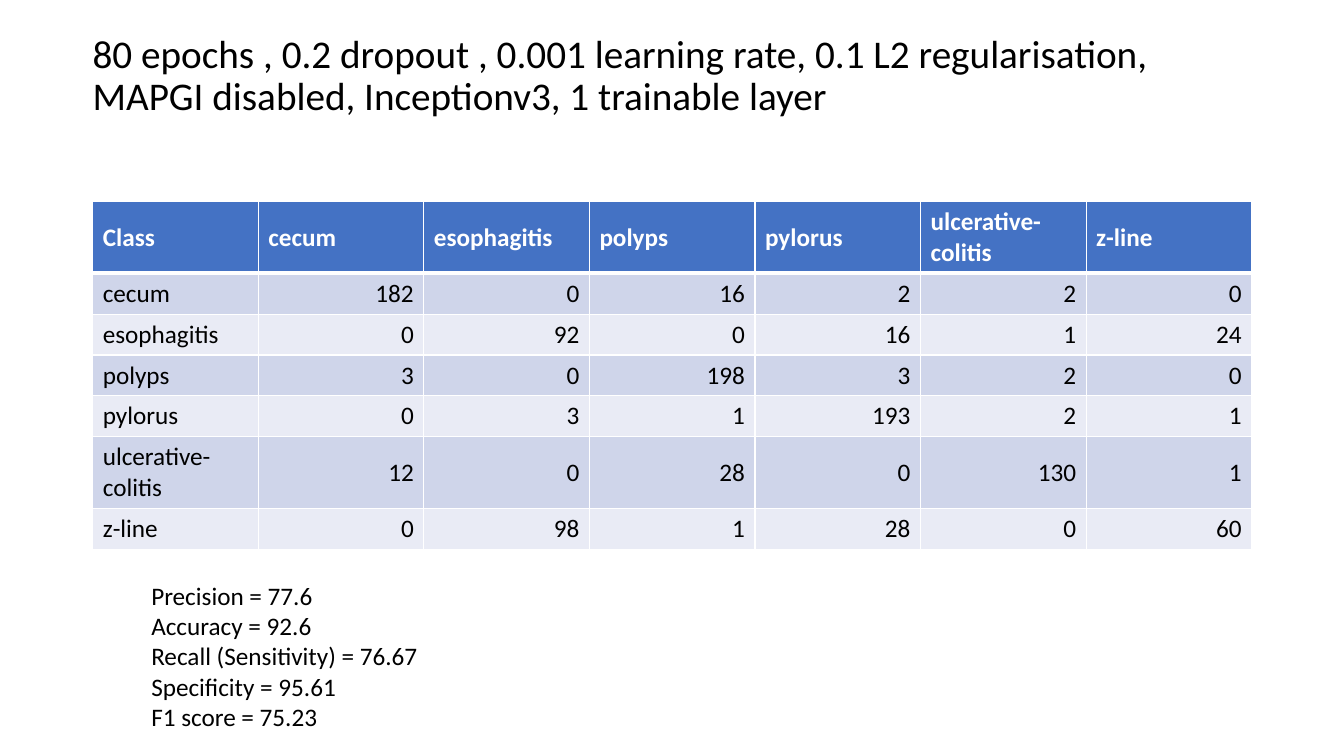
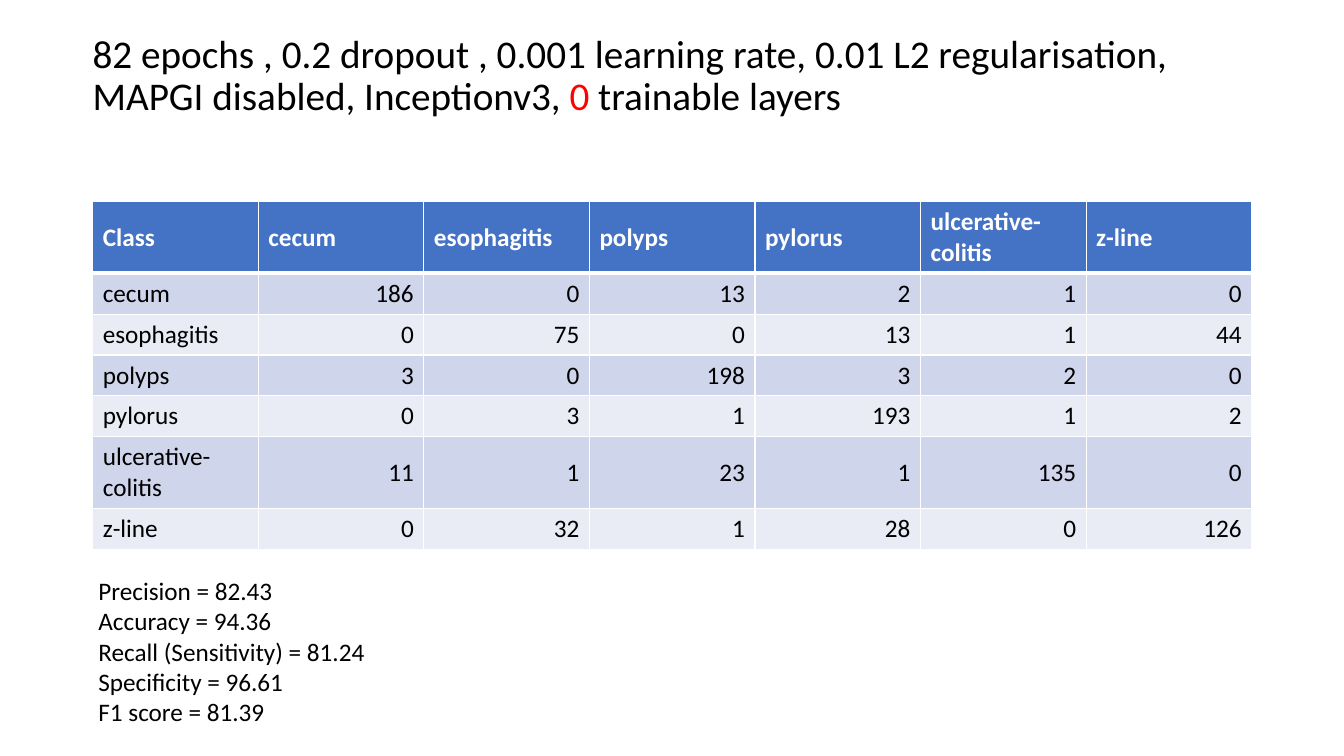
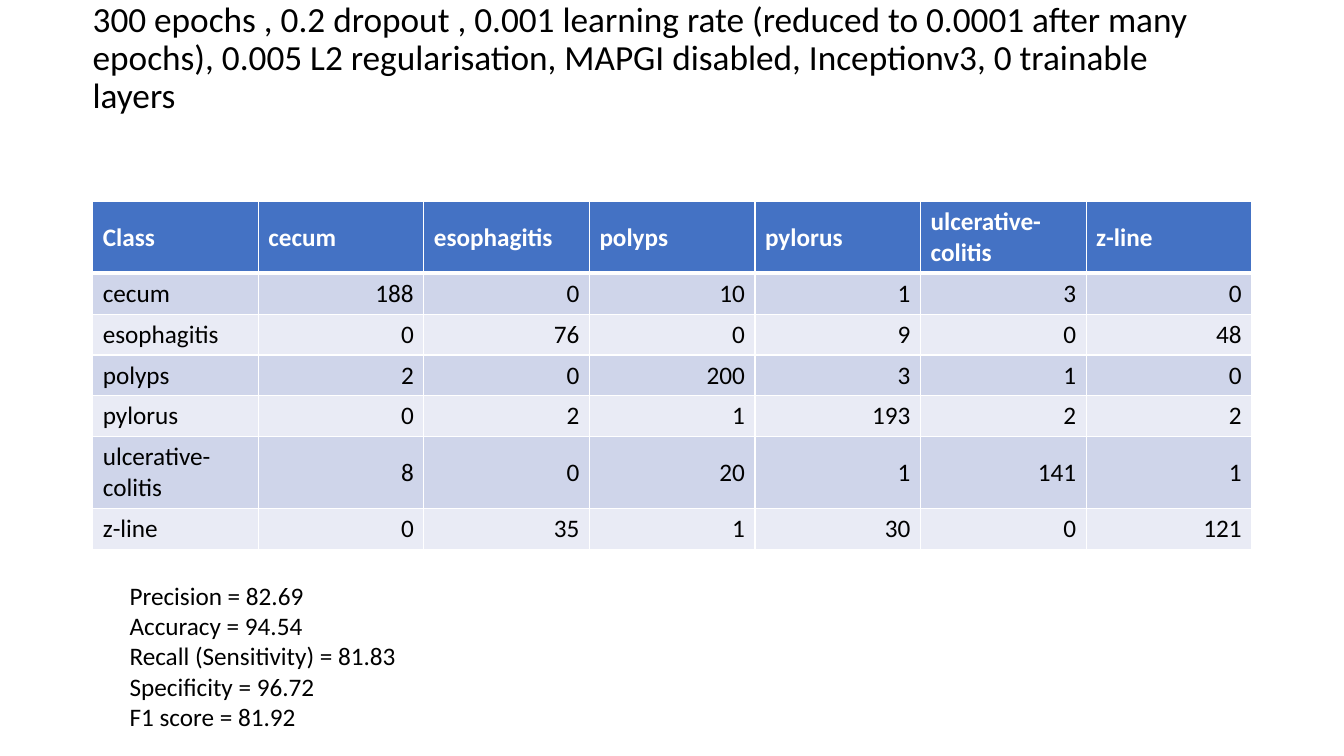
from pptx import Presentation
from pptx.dml.color import RGBColor
from pptx.enum.text import MSO_ANCHOR, MSO_AUTO_SIZE, PP_ALIGN
from pptx.oxml import parse_xml
from pptx.oxml.ns import nsdecls
from pptx.util import Pt

MIDDLE = MSO_ANCHOR.MIDDLE
LEFT, RIGHT = PP_ALIGN.LEFT, PP_ALIGN.RIGHT
NO_AUTOFIT = MSO_AUTO_SIZE.NONE

COLORS = {
    "text": "000000",
    "changed": "FF0000",
    "header": "4472C4",
    "odd row": "CFD5EA",
    "even row": "E9EBF5",
    "white": "FFFFFF",
}
BODY_FONT = {"name": "Calibri", "size": Pt(18), "bold": False}
HEADER_FONT = {**BODY_FONT, "bold": True}
TITLE_FRAME = {"vertical_anchor": MIDDLE, "word_wrap": True, "auto_size": NO_AUTOFIT}

CLASSES = ["cecum", "esophagitis", "polyps", "pylorus", "ulcerative-colitis", "z-line"]
METRICS = ["Precision", "Accuracy", "Recall (Sensitivity)", "Specificity", "F1 score"]
TABLE_LEFT, TABLE_TOP, TABLE_WIDTH = 66.25, 144, 828
ROW_HEIGHT, TALL_ROW_HEIGHT = 29, 50
TALL_ROWS = (0, 5)

EXPERIMENTS = [
    {
        "title": [("80 epochs , 0.2 dropout , 0.001 learning rate, 0.1 L2 regularisation, "
                   "MAPGI disabled, Inceptionv3, 1 trainable layer", "text")],
        "title size": 28, "title top": 17.25, "title bottom margin": 3.6,
        "confusion": [
            [182, 0, 16, 2, 2, 0],
            [0, 92, 0, 16, 1, 24],
            [3, 0, 198, 3, 2, 0],
            [0, 3, 1, 193, 2, 1],
            [12, 0, 28, 0, 130, 1],
            [0, 98, 1, 28, 0, 60],
        ],
        "scores": [77.6, 92.6, 76.67, 95.61, 75.23],
        "scores at": (101, 411),
    },
    {
        "title": [("82 epochs , 0.2 dropout , 0.001 learning rate, 0.01 L2 regularisation, "
                   "MAPGI disabled, Inceptionv3, ", "text"),
                  ("0", "changed"),
                  (" trainable layers", "text")],
        "title size": 28, "title top": 17.25, "title bottom margin": 3.6,
        "confusion": [
            [186, 0, 13, 2, 1, 0],
            [0, 75, 0, 13, 1, 44],
            [3, 0, 198, 3, 2, 0],
            [0, 3, 1, 193, 1, 2],
            [11, 1, 23, 1, 135, 0],
            [0, 32, 1, 28, 0, 126],
        ],
        "scores": [82.43, 94.36, 81.24, 96.61, 81.39],
        "scores at": (63.25, 407.5),
    },
    {
        "title": [("300 epochs , 0.2 dropout , 0.001 learning rate (reduced to 0.0001 after "
                   "many epochs), 0.005 L2 regularisation, MAPGI disabled, Inceptionv3, "
                   "0 trainable layers", "text")],
        "title size": 25.2, "title top": 18, "title bottom margin": 31,
        "confusion": [
            [188, 0, 10, 1, 3, 0],
            [0, 76, 0, 9, 0, 48],
            [2, 0, 200, 3, 1, 0],
            [0, 2, 1, 193, 2, 2],
            [8, 0, 20, 1, 141, 1],
            [0, 35, 1, 30, 0, 121],
        ],
        "scores": [82.69, 94.54, 81.83, 96.72, 81.92],
        "scores at": (85.5, 411),
    },
]


def format_font(font, values, color):
    for attribute, value in values.items():
        setattr(font, attribute, value)
    font.color.rgb = RGBColor.from_string(COLORS[color])


def add_borders(cell, widths):
    """Draw white cell borders; widths maps L, R, T and B to points."""
    properties = cell._tc.get_or_add_tcPr()
    for side, width in widths.items():
        properties.append(parse_xml(
            f'<a:ln{side} {nsdecls("a")} w="{Pt(width)}"><a:solidFill>'
            f'<a:srgbClr val="{COLORS["white"]}"/></a:solidFill></a:ln{side}>'))


presentation = Presentation()
presentation.slide_width, presentation.slide_height = Pt(960), Pt(540)
title_only = presentation.slide_layouts[5]

for experiment in EXPERIMENTS:
    slide = presentation.slides.add_slide(title_only)

    title = slide.shapes.title
    title.left, title.top = Pt(59), Pt(experiment["title top"])
    title.width, title.height = Pt(828), Pt(75.6)
    for attribute, value in TITLE_FRAME.items():
        setattr(title.text_frame, attribute, value)
    title.text_frame.margin_bottom = Pt(experiment["title bottom margin"])
    settings = title.text_frame.paragraphs[0]
    settings.alignment = LEFT
    settings.line_spacing = 0.9
    for text, color in experiment["title"]:
        run = settings.add_run()
        run.text = text
        format_font(run.font, {**BODY_FONT, "size": Pt(experiment["title size"])}, color)

    rows = [["Class", *CLASSES]]
    rows += [[name, *counts] for name, counts in zip(CLASSES, experiment["confusion"])]
    heights = [TALL_ROW_HEIGHT if r in TALL_ROWS else ROW_HEIGHT for r in range(len(rows))]
    matrix = slide.shapes.add_table(
        len(rows), len(rows[0]), Pt(TABLE_LEFT), Pt(TABLE_TOP),
        Pt(TABLE_WIDTH), Pt(sum(heights))).table
    for r, row in enumerate(rows):
        matrix.rows[r].height = Pt(heights[r])
        fill = "header" if r == 0 else "odd row" if r % 2 else "even row"
        borders = {"L": 1, "R": 1, "T": 3 if r == 1 else 1, "B": 3 if r == 0 else 1}
        for c, value in enumerate(row):
            cell = matrix.cell(r, c)
            add_borders(cell, borders)
            cell.fill.solid()
            cell.fill.fore_color.rgb = RGBColor.from_string(COLORS[fill])
            cell.vertical_anchor = MIDDLE
            paragraph = cell.text_frame.paragraphs[0]
            paragraph.alignment = RIGHT if r and c else LEFT
            run = paragraph.add_run()
            run.text = str(value)
            format_font(run.font, BODY_FONT if r else HEADER_FONT, "text" if r else "white")

    left, top = experiment["scores at"]
    scores = slide.shapes.add_textbox(Pt(left), Pt(top), Pt(216), Pt(117)).text_frame
    scores.word_wrap = True
    scores.text = "\n".join(
        f"{metric} = {score}" for metric, score in zip(METRICS, experiment["scores"]))
    for paragraph in scores.paragraphs:
        format_font(paragraph.runs[0].font, BODY_FONT, "text")

presentation.save("out.pptx")
